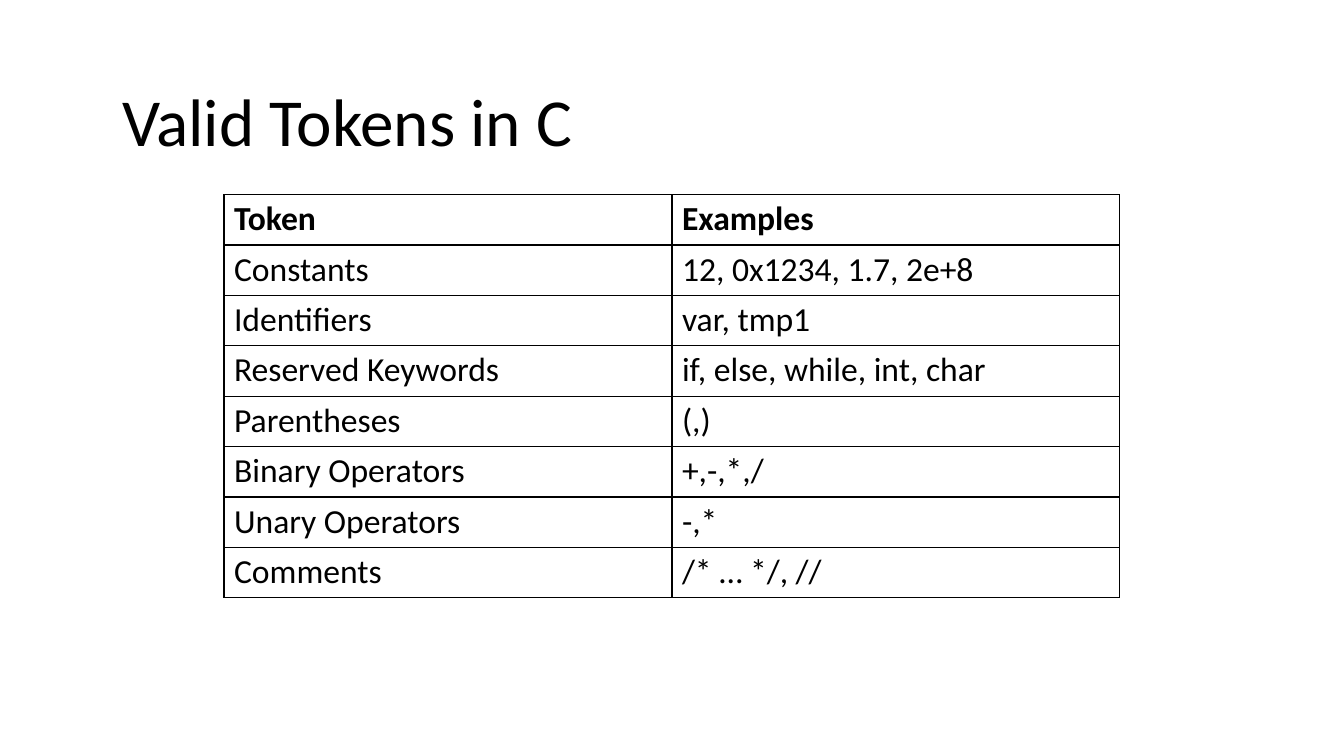
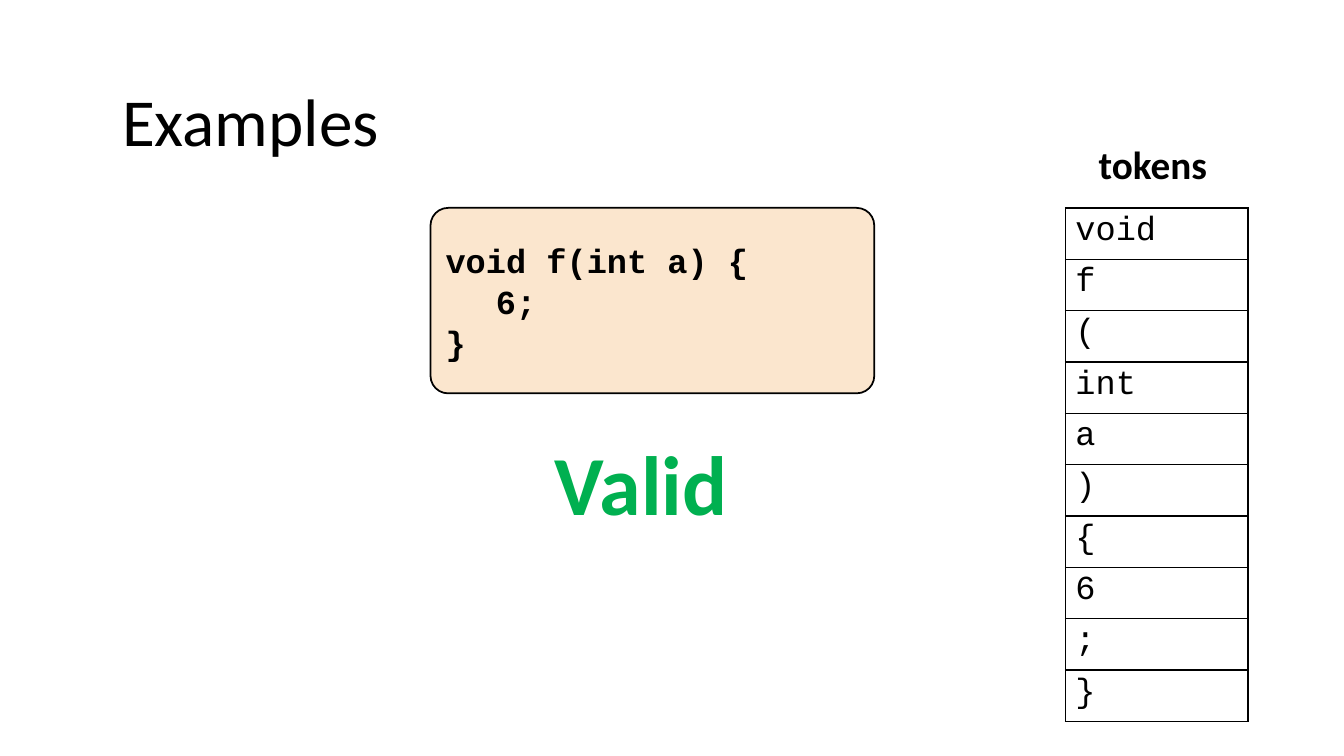
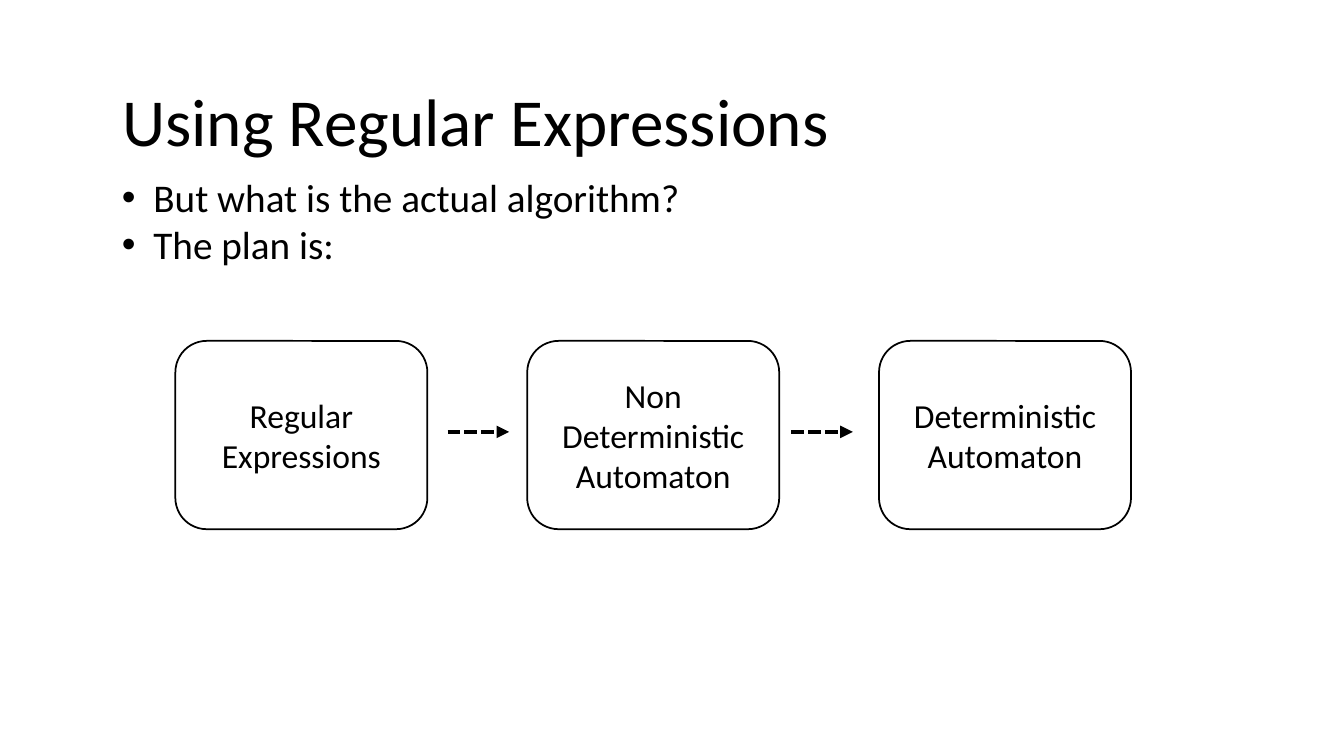
from lxml.etree import SubElement
from pptx import Presentation
from pptx.dml.color import RGBColor
from pptx.enum.dml import MSO_LINE
from pptx.enum.shapes import MSO_CONNECTOR, MSO_SHAPE
from pptx.enum.text import MSO_ANCHOR, MSO_AUTO_SIZE, PP_ALIGN
from pptx.oxml.ns import qn
from pptx.util import Pt

BLACK, WHITE, GREEN, CREAM = "000000", "FFFFFF", "00B050", "FBE6CE"
BODY_FONT, CODE_FONT = "Calibri", "Courier New"
TITLE_BOX = (80, 53, 798.5, 65.5)

TOKEN_KINDS = [
    ("Token", "Examples"),
    ("Constants", "12, 0x1234, 1.7, 2e+8"),
    ("Identifiers", "var, tmp1"),
    ("Reserved Keywords", "if, else, while, int, char"),
    ("Parentheses", "(,)"),
    ("Binary Operators", "+,-,*,/"),
    ("Unary Operators", "-,*"),
    ("Comments", "/* … */, //"),
]
CODE_LINES = ["void f(int a) {", "\t6;", "}"]
CODE_TOKENS = ["void", "f", "(", "int", "a", ")", "{", "6", ";", "}"]
PLAN_POINTS = ["But what is the actual algorithm?", "The plan is:"]
PLAN_STEPS = ["Regular Expressions", "Non Deterministic Automaton",
              "Deterministic Automaton"]


def color(hex_string):
    return RGBColor.from_string(hex_string)


def points(*lengths):
    return [Pt(length) for length in lengths]


def write(frame, lines, size, font=BODY_FONT, ink=BLACK, bold=False,
          align=PP_ALIGN.LEFT):
    """Fill a text frame with one paragraph for each line."""
    for index, line in enumerate(lines):
        para = frame.paragraphs[0] if index == 0 else frame.add_paragraph()
        para.alignment = align
        span = para.add_run()
        span.text = line
        span.font.size = Pt(size)
        span.font.name = font
        span.font.bold = bold
        span.font.color.rgb = color(ink)


def add_page(deck, title):
    page = deck.slides.add_slide(deck.slide_layouts[5])
    box = page.shapes.title
    box.left, box.top, box.width, box.height = points(*TITLE_BOX)
    box.text_frame.auto_size = MSO_AUTO_SIZE.NONE
    box.text_frame.vertical_anchor = MSO_ANCHOR.TOP
    write(box.text_frame, [title], 48)
    return page


def add_text(page, box, lines, size, **style):
    frame = page.shapes.add_textbox(*points(*box)).text_frame
    frame.word_wrap = True
    write(frame, lines, size, **style)
    return frame


def add_bullets(page, box, lines, size):
    frame = add_text(page, box, lines, size)
    for para in frame.paragraphs:
        properties = para._p.get_or_add_pPr()
        properties.set("marL", str(Pt(22.5)))
        properties.set("indent", str(Pt(-22.5)))
        SubElement(properties, qn("a:buFont")).set("typeface", "Arial")
        SubElement(properties, qn("a:buChar")).set("char", "•")


def add_rounded_box(page, box, fill, corner):
    shape = page.shapes.add_shape(MSO_SHAPE.ROUNDED_RECTANGLE, *points(*box))
    shape.shadow.inherit = False
    shape.adjustments[0] = corner
    shape.fill.solid()
    shape.fill.fore_color.rgb = color(fill)
    shape.line.color.rgb = color(BLACK)
    shape.line.width = Pt(1.25)
    shape.text_frame.word_wrap = True
    shape.text_frame.vertical_anchor = MSO_ANCHOR.MIDDLE
    return shape.text_frame


def add_code_box(page, box, lines):
    frame = add_rounded_box(page, box, CREAM, 0.095)
    write(frame, lines, 24, font=CODE_FONT, bold=True)
    for para in frame.paragraphs:
        para.line_spacing = Pt(29.3)


def add_borders(cell):
    properties = cell._tc.get_or_add_tcPr()
    for index, side in enumerate(("a:lnL", "a:lnR", "a:lnT", "a:lnB")):
        border = properties.makeelement(qn(side), {"w": str(Pt(1))})
        fill = SubElement(border, qn("a:solidFill"))
        SubElement(fill, qn("a:srgbClr")).set("val", BLACK)
        properties.insert(index, border)


def add_grid(page, box, rows, font=BODY_FONT, header=False):
    """Add a ruled table with equal rows and columns."""
    frame = page.shapes.add_table(len(rows), len(rows[0]), *points(*box))
    table = frame.table
    table.first_row = header
    table.horz_banding = False
    for row_index, row in enumerate(rows):
        for column_index, text in enumerate(row):
            cell = table.cell(row_index, column_index)
            cell.margin_top = cell.margin_bottom = Pt(3)
            cell.fill.solid()
            cell.fill.fore_color.rgb = color(WHITE)
            add_borders(cell)
            write(cell.text_frame, [text], 24, font=font,
                  bold=header and row_index == 0)


def add_arrow(page, left, top, length):
    arrow = page.shapes.add_connector(
        MSO_CONNECTOR.STRAIGHT, *points(left, top, left + length, top))
    arrow.line.color.rgb = color(BLACK)
    arrow.line.width = Pt(3)
    arrow.line.dash_style = MSO_LINE.SQUARE_DOT
    SubElement(arrow.line._get_or_add_ln(), qn("a:tailEnd")).set("type", "triangle")
    SubElement(arrow._element.spPr, qn("a:effectLst"))


def add_flow(page, box, steps):
    """Place equal step boxes across the box, with an arrow in each gap."""
    left, top, width, height = box
    step_width = 180
    pitch = (width - step_width) / (len(steps) - 1)
    for index, step in enumerate(steps):
        frame = add_rounded_box(
            page, (left + index * pitch, top, step_width, height), WHITE, 0.1667)
        write(frame, [step], 24, align=PP_ALIGN.CENTER)
    arrow_left, arrow_pitch = left + step_width + 14.4, 245.5
    for index in range(len(steps) - 1):
        add_arrow(page, arrow_left + index * arrow_pitch, top + 65, 44)


def add_token_kinds_page(deck):
    page = add_page(deck, "Valid Tokens in C")
    add_grid(page, (160, 139, 640, 288), TOKEN_KINDS, header=True)


def add_example_page(deck):
    page = add_page(deck, "Examples")
    add_text(page, (369.5, 305, 177, 152.5), ["Valid"], 60, ink=GREEN,
             bold=True, align=PP_ALIGN.CENTER)
    add_code_box(page, (307.5, 148.5, 317, 132.5), CODE_LINES)
    add_text(page, (754, 97, 139, 41), ["tokens"], 28, bold=True,
             align=PP_ALIGN.CENTER)
    add_grid(page, (761, 148.5, 130.5, 367), [(token,) for token in CODE_TOKENS],
             font=CODE_FONT)


def add_plan_page(deck):
    page = add_page(deck, "Using Regular Expressions")
    add_bullets(page, (80, 120.5, 798.5, 143.5), PLAN_POINTS, 28)
    add_flow(page, (125.3, 243.5, 682.6, 134.5), PLAN_STEPS)


def main():
    deck = Presentation()
    deck.slide_width, deck.slide_height = points(960, 540)
    add_token_kinds_page(deck)
    add_example_page(deck)
    add_plan_page(deck)
    deck.save("out.pptx")


if __name__ == "__main__":
    main()
